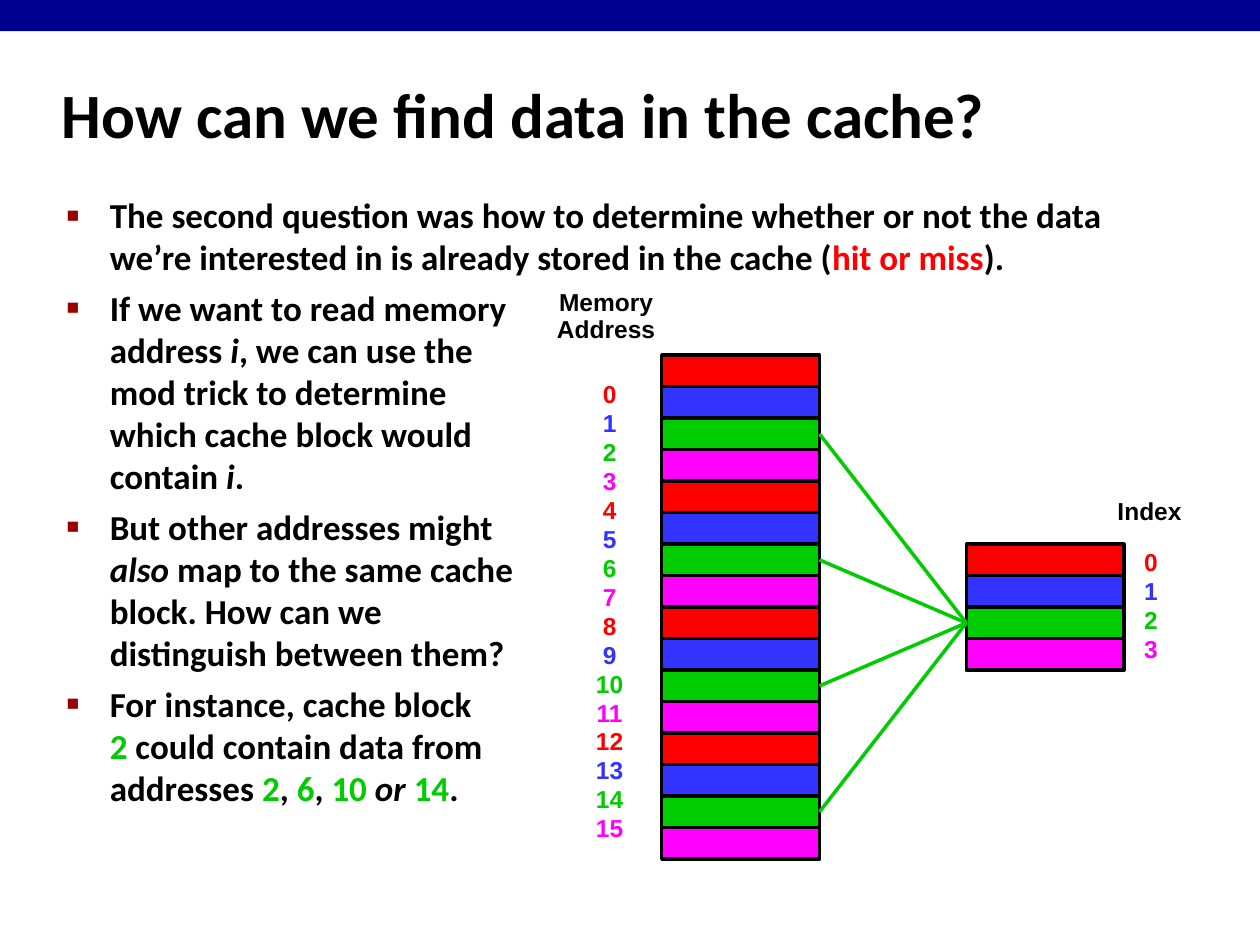
from lxml.etree import SubElement
from pptx import Presentation
from pptx.dml.color import RGBColor
from pptx.enum.shapes import MSO_CONNECTOR as Connector, MSO_SHAPE as Shape
from pptx.enum.text import MSO_ANCHOR as Anchor, MSO_AUTO_SIZE as AutoSize, PP_ALIGN as Align
from pptx.oxml.ns import qn
from pptx.util import Cm, Pt

RED, BLUE, GREEN, MAGENTA = BLOCK_COLORS = ["FF0000", "3333FF", "00CC00", "FF00FF"]
BLACK, NAVY, MAROON = "000000", "000090", "990000"
SHARED_INDEX = 2

# Each bullet is a list of (text, format) runs; a newline is a line break.
BULLETS = [
    [("The second question was how to determine whether or not the data "
      "we’re interested in is already stored in the cache (", {}),
     ("hit or miss", {"color": RED}), (").", {})],
    [("If we want to read memory\naddress ", {}), ("i", {"italic": True}),
     (", we can use the\nmod trick to determine\nwhich cache block would\ncontain ", {}),
     ("i", {"italic": True}), (".", {})],
    [("But other addresses might\n", {}), ("also ", {"italic": True}),
     ("map to the same cache\nblock. How can we\ndistinguish between them?", {})],
    [("For instance, cache block\n", {}), ("2", {"color": GREEN}),
     (" could contain data from\naddresses ", {}), ("2", {"color": GREEN}), (", ", {}),
     ("6", {"color": GREEN}), (", ", {}), ("10 ", {"color": GREEN}),
     ("or ", {"italic": True}), ("14", {"color": GREEN}), (".", {})],
]


def rgb(value):
    return RGBColor.from_string(value)


def add_text(paragraph, text, size=20, name="Calibri", color=BLACK, italic=False):
    for number, line in enumerate(text.split("\n")):
        if number:
            paragraph.add_line_break()
        if line:
            run = paragraph.add_run()
            run.text = line
            font = run.font
            font.size, font.name, font.bold, font.italic = Pt(size), name, True, italic
            font.color.rgb = rgb(color)


def get_paragraph(frame, number):
    return frame.add_paragraph() if number else frame.paragraphs[0]


def place(shape, box):
    shape.left, shape.top, shape.width, shape.height = [Cm(value) for value in box]


def add_rectangle(slide, box, fill, line=None):
    shape = slide.shapes.add_shape(Shape.RECTANGLE, *[Cm(value) for value in box])
    shape.shadow.inherit = False
    shape.fill.solid()
    shape.fill.fore_color.rgb = rgb(fill)
    if line:
        shape.line.color.rgb = rgb(line)
        shape.line.width = Pt(2)
    else:
        shape.line.fill.background()
    return shape


def add_title(slide, box, text):
    title = slide.shapes.title
    place(title, box)
    frame = title.text_frame
    frame.auto_size, frame.vertical_anchor = AutoSize.NONE, Anchor.MIDDLE
    frame.paragraphs[0].alignment = Align.LEFT
    add_text(frame.paragraphs[0], text, size=36)


def set_bullet(paragraph, indent):
    properties = paragraph._p.get_or_add_pPr()
    properties.set("marL", str(indent))
    properties.set("indent", str(-indent))
    color = SubElement(properties, qn("a:buClr"))
    SubElement(color, qn("a:srgbClr"), val=MAROON)
    SubElement(properties, qn("a:buSzPct"), val="60000")
    SubElement(properties, qn("a:buFont"), typeface="Arial")
    SubElement(properties, qn("a:buChar"), char="■")


def add_bullets(slide, box, bullets):
    body = slide.placeholders[1]
    place(body, box)
    frame = body.text_frame
    frame.auto_size = AutoSize.NONE
    for number, runs in enumerate(bullets):
        paragraph = get_paragraph(frame, number)
        set_bullet(paragraph, Cm(0.87))
        paragraph.space_before = Pt(5 if number else 0)
        for text, formatting in runs:
            add_text(paragraph, text, **formatting)


def add_labels(slide, box, labels, colors, gap=0.0):
    """Stack centred labels, cycling through the colours."""
    frame = slide.shapes.add_textbox(*[Cm(value) for value in box]).text_frame
    frame.word_wrap, frame.vertical_anchor = False, Anchor.MIDDLE
    frame.auto_size = AutoSize.SHAPE_TO_FIT_TEXT
    frame.margin_left = frame.margin_right = Cm(0.2)
    frame.margin_top = frame.margin_bottom = Cm(0.15)
    for number, label in enumerate(labels):
        paragraph = get_paragraph(frame, number)
        paragraph.alignment, paragraph.line_spacing = Align.CENTER, 0.9
        paragraph.space_before = Pt(gap if number else 0)
        add_text(paragraph, str(label), size=14, name="Arial",
                 color=colors[number % len(colors)])


def add_blocks(slide, box, count):
    """Divide the box into equal blocks, cycling through the block colours."""
    left, top, width, height = box
    step = height / count
    return [add_rectangle(slide, (left, top + row * step, width, step),
                          BLOCK_COLORS[row % len(BLOCK_COLORS)], BLACK)
            for row in range(count)]


def add_memory(slide, box):
    left, top, width, height = box
    add_labels(slide, (left - 2.39, top - 1.44, 2.54, 1.35), ["Memory", "Address"], [BLACK])
    add_labels(slide, (left - 1.61, top + 0.43, 1.12, 9.53), range(16), BLOCK_COLORS, 1.4)
    return add_blocks(slide, box, 16)


def add_cache(slide, box):
    left, top, width, height = box
    add_labels(slide, (left + 2.77, top - 1.04, 1.85, 0.81), ["Index"], [BLACK])
    add_labels(slide, (left + 3.3, top - 0.02, 0.84, 2.57), range(4), BLOCK_COLORS, 1.4)
    return add_blocks(slide, box, 4)


def join_blocks(slide, cache_block, memory_block):
    connector = slide.shapes.add_connector(Connector.STRAIGHT, 0, 0, 0, 0)
    connector.begin_connect(cache_block, 1)
    connector.end_connect(memory_block, 3)
    connector.line.color.rgb = rgb(GREEN)
    connector.line.width = Pt(2)
    SubElement(connector._element.spPr, qn("a:effectLst"))


def main():
    presentation = Presentation()
    presentation.slide_width, presentation.slide_height = Cm(25.4), Cm(19.05)
    slide = presentation.slides.add_slide(presentation.slide_layouts[1])

    # Header bar, title and list
    add_rectangle(slide, (0, 0, 25.4, 0.63), NAVY)
    add_title(slide, (0.99, 1.22, 21.08, 2.11), "How can we find data in the cache?")
    add_bullets(slide, (1.09, 3.78, 21.95, 13.82), BULLETS)

    # Memory and cache, with every address that shares one cache block
    memory = add_memory(slide, (13.34, 7.16, 3.18, 10.16))
    cache = add_cache(slide, (19.48, 10.97, 3.18, 2.54))
    for block in memory[SHARED_INDEX::len(cache)]:
        join_blocks(slide, cache[SHARED_INDEX], block)

    presentation.save("out.pptx")


if __name__ == "__main__":
    main()
